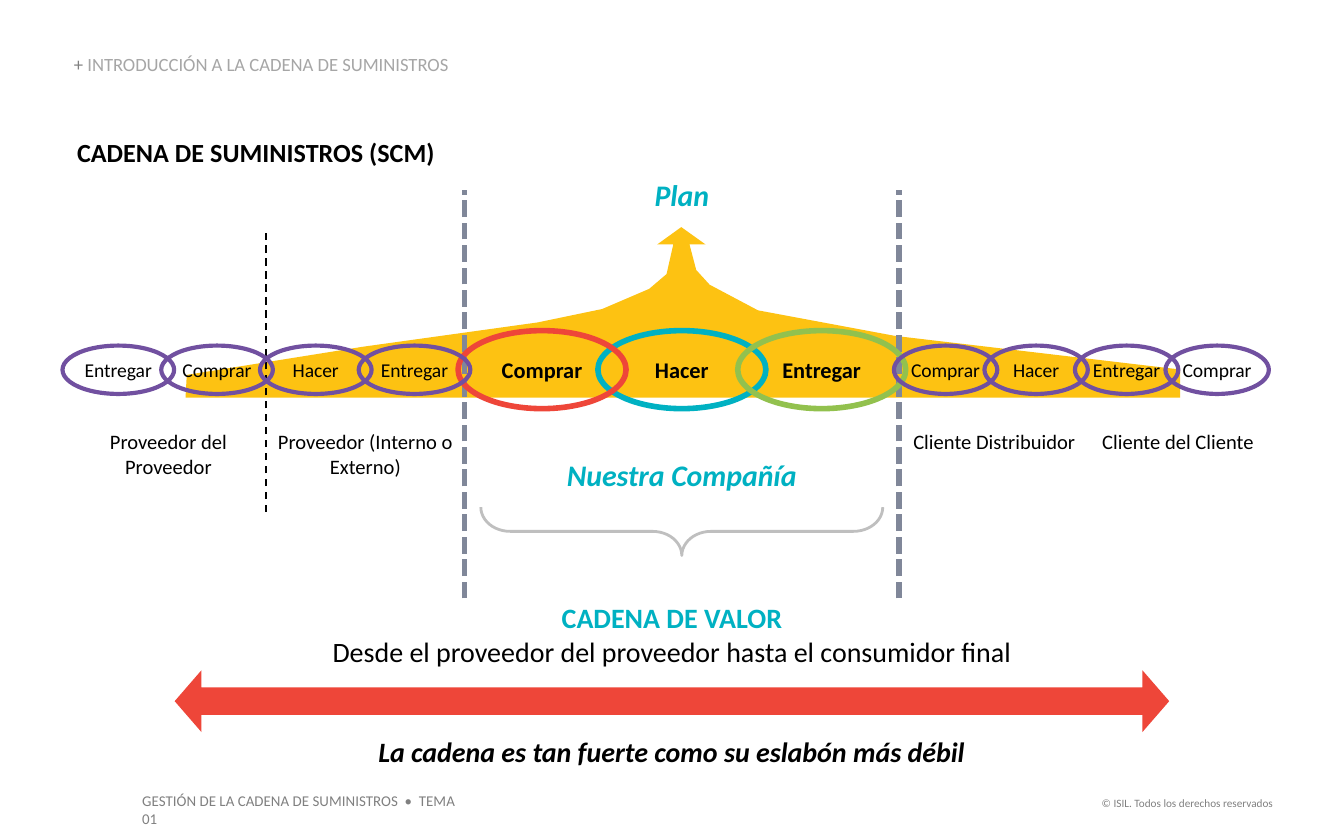
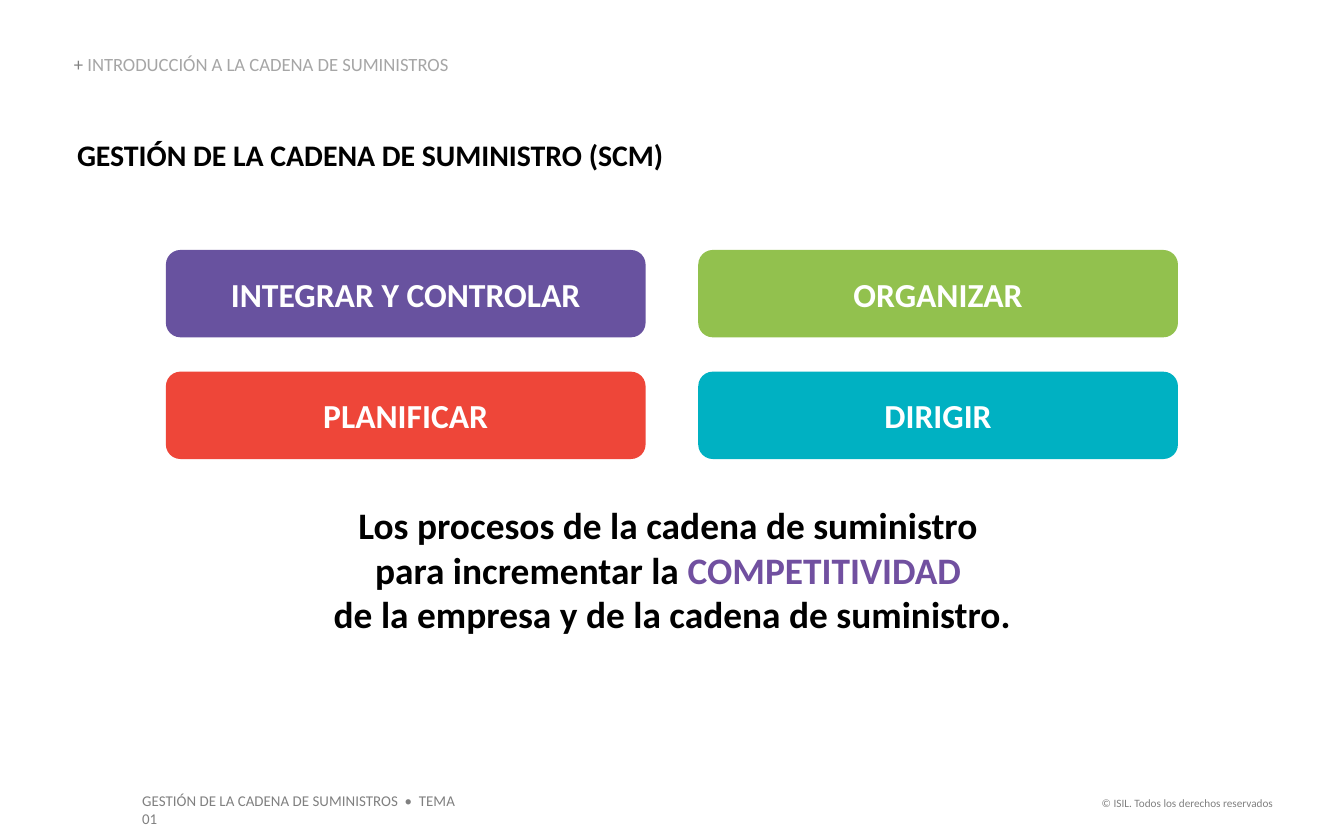
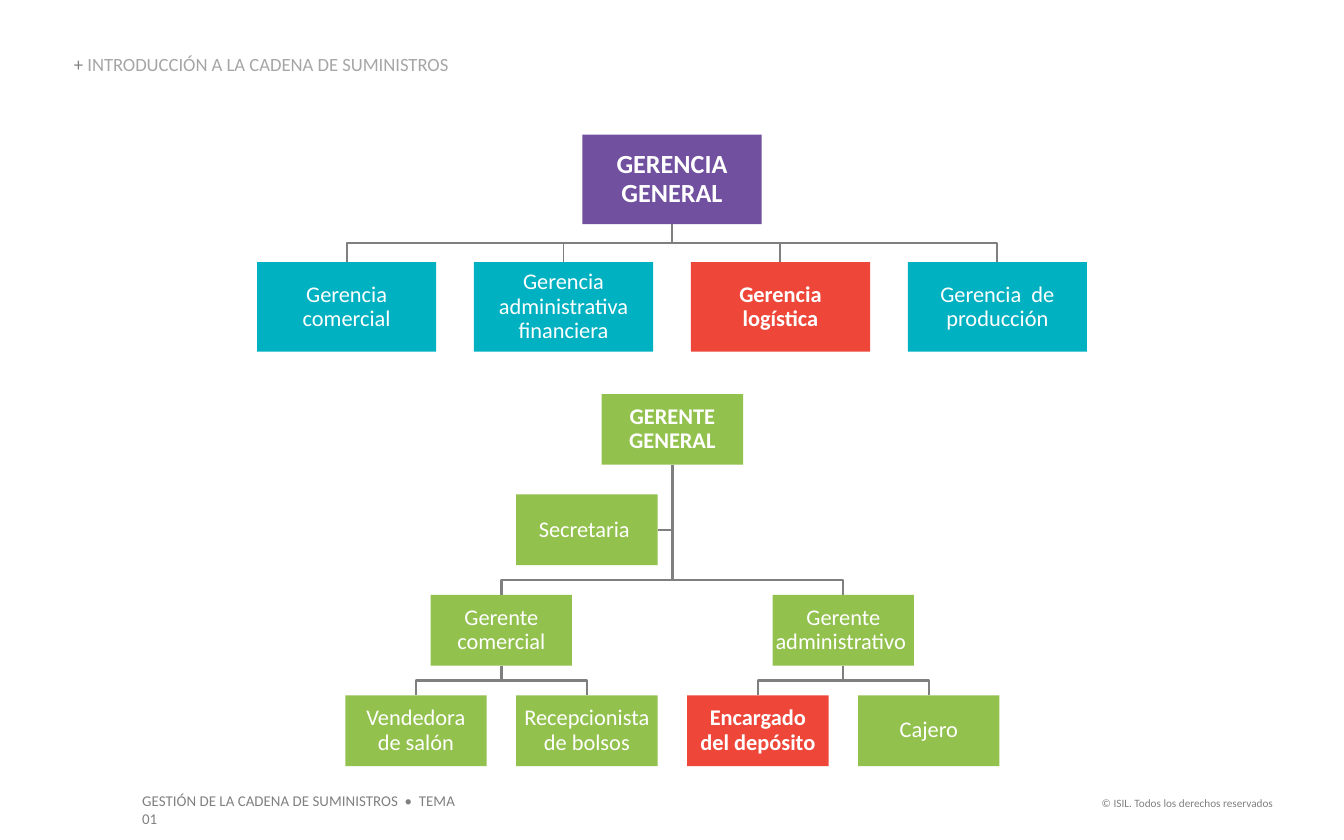
"""Build three slides on supply chain management."""
from itertools import product

from lxml import etree
from pptx import Presentation
from pptx.dml.color import RGBColor
from pptx.enum.dml import MSO_LINE as Dash
from pptx.enum.shapes import MSO_CONNECTOR as Connector, MSO_SHAPE as Preset
from pptx.enum.text import MSO_ANCHOR as Anchor, PP_ALIGN as Align
from pptx.oxml.ns import qn
from pptx.util import Pt

FONT = "Calibri"
BLACK, WHITE, GRAY, PALE_GRAY = "000000", "FFFFFF", "808080", "A6A6A6"
PURPLE, TEAL, RED, GREEN, YELLOW = "7150A0", "00B1C2", "EE4639", "92C14E", "FDC212"
DEEP_PURPLE, SLATE, SILVER, LINK_GRAY = "68529F", "808799", "BFBFBF", "7F7F7F"
CENTER_X = 360
DEFAULT_INSETS, LABEL_INSETS, NO_INSETS = (7.2, 3.6), (5.4, 2.7), (0, 0)

PLAN_OUTLINE = [
    (100.1, 200.9), (194.4, 185.8), (288, 172.8), (322.6, 165.6), (347.8, 154.8),
    (357.1, 146.9), (360.7, 131), (352.1, 131), (365, 121.7), (378, 131),
    (369.4, 131), (373, 144.7), (380.2, 152.6), (406.1, 166.3), (479.5, 180),
    (632.2, 198), (632.2, 213.1), (99.4, 213.1),
]


def rgb(value):
    """Turn a hex string into a colour."""
    return RGBColor.from_string(value)


def style(size, color=BLACK, **extra):
    """Return the format values of a run."""
    return {"name": FONT, "size": Pt(size), "bold": False, "italic": False,
            "color": color, **extra}


def add_run(paragraph, text, font_style):
    """Add one formatted run to a paragraph."""
    run = paragraph.add_run()
    run.text = text
    for name, value in font_style.items():
        if name == "color":
            run.font.color.rgb = rgb(value)
        else:
            setattr(run.font, name, value)


def write(shape, paragraphs, align=Align.CENTER, anchor=Anchor.MIDDLE,
          insets=DEFAULT_INSETS, wrap=True, spacing=None):
    """Fill a shape with paragraphs, each a list of (text, style) runs."""
    frame = shape.text_frame
    across, down = Pt(insets[0]), Pt(insets[1])
    settings = {"word_wrap": wrap, "vertical_anchor": anchor,
                "margin_left": across, "margin_right": across,
                "margin_top": down, "margin_bottom": down}
    for name, value in settings.items():
        setattr(frame, name, value)
    for index, runs in enumerate(paragraphs):
        paragraph = frame.add_paragraph() if index else frame.paragraphs[0]
        paragraph.alignment = align
        paragraph.line_spacing = spacing
        for text, font_style in runs:
            for row, line in enumerate(text.split("\n")):
                if row:
                    paragraph.add_line_break()
                add_run(paragraph, line, font_style)


def add_text(slide, box, paragraphs, **layout):
    """Add a text box."""
    write(slide.shapes.add_textbox(*map(Pt, box)), paragraphs, **layout)


def paint(shape, fill=None, line=None, width=1):
    """Set the fill and outline of a shape and drop its shadow."""
    shape.shadow.inherit = False
    if fill:
        shape.fill.solid()
        shape.fill.fore_color.rgb = rgb(fill)
    else:
        shape.fill.background()
    if line:
        shape.line.color.rgb = rgb(line)
        shape.line.width = Pt(width)
    else:
        shape.line.fill.background()


def add_preset(slide, preset, box, adjustments=(), **look):
    """Add a preset shape."""
    shape = slide.shapes.add_shape(preset, *map(Pt, box))
    for index, value in enumerate(adjustments):
        shape.adjustments[index] = value
    paint(shape, **look)
    return shape


def add_line(slide, start, end, color, width, dash):
    """Add a straight dashed line without a shadow."""
    line = slide.shapes.add_connector(Connector.STRAIGHT, *map(Pt, (*start, *end)))
    line.line.color.rgb = rgb(color)
    line.line.width = Pt(width)
    line.line.dash_style = dash
    etree.SubElement(line.element.spPr, qn("a:effectLst"))


def add_link(slide, center, color, text, size, width, font_style):
    """Add one oval link of the chain around its centre."""
    (x, y), (w, h) = center, size
    oval = add_preset(slide, Preset.OVAL, (x - w / 2, y - h / 2, w, h),
                      line=color, width=width)
    write(oval, [[(text, font_style)]], wrap=False)


def add_outline(slide, points, close=False, **look):
    """Add an outline through points, open or closed."""
    corners = [(Pt(x), Pt(y)) for x, y in points]
    builder = slide.shapes.build_freeform(*corners[0])
    builder.add_line_segments(corners[1:], close=close)
    paint(builder.convert_to_shape(), **look)


def add_branches(slide, parent, child_xs, child_top, drop, width):
    """Join a parent's lower middle to each child's upper middle."""
    x, y = parent
    for child_x in child_xs:
        add_outline(slide, [(x, y), (x, child_top - drop), (child_x, child_top - drop),
                            (child_x, child_top)], line=LINK_GRAY, width=width)


def add_box(slide, center_x, top, size, text, fill, font_size=12, bold=False, side=0.72):
    """Add one box of an organisation chart."""
    width, height = size
    box = add_preset(slide, Preset.RECTANGLE,
                     (center_x - width / 2, top, width, height), fill=fill)
    write(box, [[(text, style(font_size, WHITE, bold=bold))]],
          insets=(side, 0.72), spacing=0.9)


def add_slide(presentation):
    """Add a blank slide with the shared header and footers."""
    slide = presentation.slides.add_slide(presentation.slide_layouts[6])
    add_text(slide, (581, 423, 108, 14.4),
             [[("© ISIL. Todos los derechos reservados", style(6, GRAY))]],
             align=Align.RIGHT, anchor=Anchor.TOP, wrap=False)
    add_text(slide, (69.1, 420.5, 191.5, 17.3),
             [[("GESTIÓN DE LA CADENA DE SUMINISTROS  •  TEMA 01", style(8, GRAY))]],
             align=Align.LEFT, anchor=Anchor.TOP)
    add_text(slide, (39.6, 29.5, 334.8, 10.8),
             [[("+ ", style(10, GRAY)),
               ("INTRODUCCIÓN A LA CADENA DE SUMINISTROS", style(10, PALE_GRAY))]],
             align=Align.LEFT, anchor=Anchor.BOTTOM, insets=NO_INSETS, spacing=0.9)
    return slide


def add_title(slide, text, size):
    """Add the slide title."""
    add_text(slide, (41.3, 73, 643, 19), [[(text, style(size, bold=True))]],
             align=Align.LEFT, anchor=Anchor.TOP, insets=NO_INSETS)


def build_chain(presentation):
    """Build the slide with the chain of links."""
    slide = add_slide(presentation)
    add_outline(slide, PLAN_OUTLINE, close=True, fill=YELLOW)
    add_title(slide, "CADENA DE SUMINISTROS (SCM)", 14)
    for x in (248.8, 481.5):
        add_line(slide, (x, 320.6), (x, 101.7), SLATE, 3, Dash.SQUARE_DOT)
    add_line(slide, (142.7, 274.3), (142.7, 124.6), BLACK, 1, Dash.DASH)

    heading = style(16, TEAL, bold=True, italic=True)
    small = style(11)
    for left, top, width, height, text, font_style in (
        (264.5, 92.2, 201.6, 25.2, "Plan", heading),
        (264.5, 241.9, 201.6, 25.2, "Nuestra Compañía", heading),
        (33.8, 227.2, 113, 32.4, "Proveedor del Proveedor", small),
        (143, 227.2, 105.5, 32.4, "Proveedor (Interno o Externo)", small),
        (480.2, 227.2, 105.1, 18.7, "Cliente Distribuidor", small),
        (574.6, 227.2, 113, 18.7, "Cliente del Cliente", small),
    ):
        add_text(slide, (left, top, width, height), [[(text, font_style)]],
                 anchor=Anchor.TOP, insets=LABEL_INSETS)

    add_preset(slide, Preset.LEFT_BRACE, (352.3, 177, 25.9, 215.3),
               (0.607, 0.5), line=SILVER, width=1.5).rotation = 270
    company = (("Hacer", 0, TEAL), ("Comprar", -1, RED), ("Entregar", 1, GREEN))
    for text, place, color in company:
        add_link(slide, (365.3 + place * 74.9, 198), color, text,
                 (90, 41.8), 3, style(12, bold=True))
    suppliers = ("Entregar", "Comprar", "Hacer", "Entregar")
    customers = ("Comprar", "Hacer", "Entregar", "Comprar")
    for texts, first, step, width in ((suppliers, 63.4, 52.9, 59.8),
                                      (customers, 506.6, 48.5, 55.4)):
        for index, text in enumerate(texts):
            add_link(slide, (first + index * step, 198.1), PURPLE, text,
                     (width, 25.9), 2.25, style(10.5))

    add_text(slide, (167, 317.7, 386, 43.9),
             [[("CADENA DE VALOR", style(15, TEAL, bold=True))],
              [("Desde el proveedor del proveedor hasta el consumidor final", style(15))]],
             wrap=False)
    add_preset(slide, Preset.LEFT_RIGHT_ARROW, (93.6, 359.1, 532.8, 33.1),
               (0.445, 0.434), fill=RED)
    add_text(slide, (84.2, 389.9, 551.5, 25.2),
             [[("La cadena es tan fuerte como su eslabón más débil",
                style(15, bold=True, italic=True))]])


def build_management(presentation):
    """Build the slide with the four management tasks."""
    slide = add_slide(presentation)
    add_title(slide, "GESTIÓN DE LA CADENA DE SUMINISTRO (SCM)", 16)
    strong = style(20, bold=True)
    add_text(slide, (161.9, 268.9, 396.7, 72.7),
             [[("Los procesos de la cadena de suministro ", strong)],
              [("para incrementar la ", strong),
               ("COMPETITIVIDAD ", style(20, PURPLE, bold=True))],
              [("de la empresa y de la cadena de suministro.", strong)]],
             anchor=Anchor.TOP, insets=NO_INSETS)
    tasks = (("INTEGRAR Y CONTROLAR", DEEP_PURPLE), ("ORGANIZAR", GREEN),
             ("PLANIFICAR", RED), ("DIRIGIR", TEAL))
    for (row, column), (text, fill) in zip(product(range(2), repeat=2), tasks):
        card = add_preset(slide, Preset.ROUNDED_RECTANGLE,
                          (88.9 + column * 285.2, 133.9 + row * 65.2, 257, 46.8),
                          (0.167,), fill=fill)
        write(card, [[(text, style(18, WHITE, bold=True))]])


def build_departments(slide):
    """Draw the chart of departments."""
    size, root_top, area_top = (96, 48), 72.1, 140.4
    areas = (("Gerencia comercial", TEAL), ("Gerencia administrativa financiera", TEAL),
             ("Gerencia logística", RED), ("Gerencia  de producción", TEAL))
    centers = [CENTER_X + (index - 1.5) * 116.2 for index in range(len(areas))]
    add_branches(slide, (CENTER_X, root_top + size[1]), centers, area_top, 10.2, 1)
    add_box(slide, CENTER_X, root_top, size, "GERENCIA GENERAL", PURPLE, 14, True)
    for center, (text, fill) in zip(centers, areas):
        add_box(slide, center, area_top, size, text, fill, bold=fill == RED, side=5.76)


def build_positions(slide):
    """Draw the chart of positions, with columns in half steps from the centre."""
    width, height = size = (75.7, 37.9)
    tops = [211.1 + row * 53.8 for row in range(4)]
    columns = {place: CENTER_X + 0.2 + place * 45.8 for place in range(-3, 4)}
    secretary_y = tops[1] + height / 2
    add_outline(slide, [(columns[0], tops[0] + height), (columns[0], secretary_y),
                        (columns[-1] + width / 2, secretary_y)], line=LINK_GRAY)
    for parent, row, children in ((0, 0, (-2, 2)), (-2, 2, (-3, -1)), (2, 2, (1, 3))):
        child_row = 2 if row == 0 else 3
        add_branches(slide, (columns[parent], tops[row] + height),
                     [columns[child] for child in children], tops[child_row], 8, 1.25)
    for place, row, text, fill, bold in (
        (0, 0, "GERENTE GENERAL", GREEN, True),
        (-2, 2, "Gerente comercial", GREEN, False),
        (-3, 3, "Vendedora\nde salón", GREEN, False),
        (-1, 3, "Recepcionista de bolsos", GREEN, False),
        (2, 2, "Gerente administrativo ", GREEN, False),
        (1, 3, "Encargado\ndel depósito", RED, True),
        (3, 3, "Cajero", GREEN, False),
        (-1, 1, "Secretaria ", GREEN, False),
    ):
        add_box(slide, columns[place], tops[row], size, text, fill, bold=bold)


def main():
    """Build and save the presentation."""
    presentation = Presentation()
    presentation.slide_width, presentation.slide_height = Pt(720), Pt(450)
    build_chain(presentation)
    build_management(presentation)
    organisation = add_slide(presentation)
    build_departments(organisation)
    build_positions(organisation)
    presentation.save("out.pptx")


if __name__ == "__main__":
    main()
